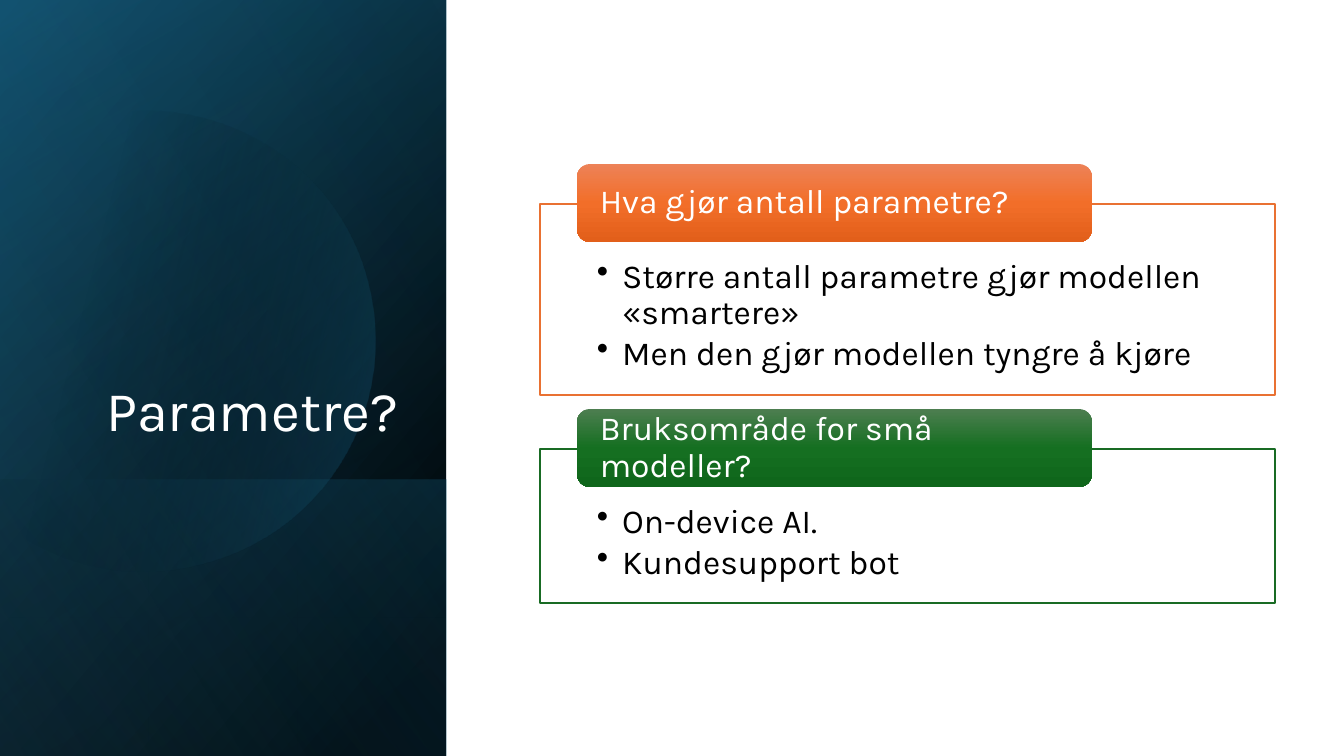
"""Build the slide about model parameters."""
from dataclasses import dataclass

from lxml import etree
from pptx import Presentation
from pptx import util as u
from pptx.dml.color import RGBColor
from pptx.enum import shapes, text
from pptx.oxml import parse_xml
from pptx.oxml.ns import nsdecls, qn

EMU_PER_PX = 12192000 / 1344
FONT = "Karla"
SIDEBAR_WIDTH = 446
Stop = tuple[int, str, int]
Point = tuple[int, int]


@dataclass(frozen=True)
class Gradient:
    stops: tuple[Stop, ...]
    angle: int


@dataclass(frozen=True)
class Panel:
    top: int
    height: int
    gradient: Gradient


@dataclass(frozen=True)
class Topic:
    heading: str
    points: tuple[str, ...]
    top: int
    height: int
    color: str
    shades: tuple[str, str, str]


PANELS = (
    Panel(0, 756, Gradient(((8, "000000", 100), (100, "104862", 100)), 50)),
    Panel(0, 756, Gradient(((0, "000000", 0), (99, "156082", 46)), 30)),
    Panel(480, 276, Gradient(((2, "156082", 29), (100, "000000", 30)), 130)),
)
SHEEN = Panel(0, 756, Gradient(((0, "000000", 0), (99, "46B1E1", 11)), 120))
DISC_GRADIENT = Gradient(((29, "000000", 0), (100, "156082", 43)), 14)
DISC_CURVES: tuple[tuple[Point, Point, Point, Point], ...] = (
    ((0, 162), (23, 143), (50, 129), (81, 120)),
    ((81, 120), (104, 114), (127, 111), (150, 111)),
    ((150, 111), (248, 113), (338, 178), (366, 277)),
    ((366, 277), (401, 400), (331, 527), (209, 562)),
    ((209, 562), (132, 585), (53, 566), (-3, 518)),
)
DISC_LEFT_EDGE: tuple[Point, ...] = ((-15, 507), (-15, 176))
TOPICS = (
    Topic(
        "Hva gjør antall parametre?",
        ("Større antall parametre gjør modellen «smartere»",
         "Men den gjør modellen tyngre å kjøre"),
        204, 191, "E97132", ("ED8257", "F26E29", "E25F1A"),
    ),
    Topic(
        "Bruksområde for små modeller?",
        ("On-device AI.", "Kundesupport bot"),
        449, 154, "196B24", ("4D7E50", "156F21", "0F661B"),
    ),
)


def px(length: float) -> u.Emu:
    """Convert pixels to EMU."""
    return u.Emu(round(length * EMU_PER_PX))


def rgb(color: str) -> RGBColor:
    """Turn a hex string into a colour."""
    return RGBColor.from_string(color)


def fill_gradient(shape, gradient: Gradient) -> None:
    """Give a shape a linear gradient and neither outline nor shadow."""
    shape.shadow.inherit = False
    shape.line.fill.background()
    shape.fill.background()
    stops = "".join(
        f'<a:gs pos="{position * 1000}"><a:srgbClr val="{color}">'
        f'<a:alpha val="{alpha * 1000}"/></a:srgbClr></a:gs>'
        for position, color, alpha in gradient.stops
    )
    properties = shape._element.spPr
    properties.replace(properties.find(qn("a:noFill")), parse_xml(
        f'<a:gradFill {nsdecls("a")} rotWithShape="1"><a:gsLst>{stops}</a:gsLst>'
        f'<a:lin ang="{gradient.angle * 60000}" scaled="0"/></a:gradFill>'
    ))


def add_panel(slide, panel: Panel) -> None:
    """Draw a mirrored, quarter-turned rectangle across the sidebar."""
    overhang = (panel.height - SIDEBAR_WIDTH) / 2
    rectangle = slide.shapes.add_shape(
        shapes.MSO_SHAPE.RECTANGLE, px(-overhang), px(panel.top + overhang),
        px(panel.height), px(SIDEBAR_WIDTH),
    )
    rectangle.rotation = 90
    rectangle._element.spPr.xfrm.set("flipH", "1")
    fill_gradient(rectangle, panel.gradient)


def curve_points(curve: tuple[Point, ...], steps: int = 24) -> list[tuple[int, int]]:
    """Sample a cubic curve in EMU, leaving out its start."""
    sampled = []
    for step in range(1, steps + 1):
        t = step / steps
        weights = ((1 - t) ** 3, 3 * t * (1 - t) ** 2, 3 * t * t * (1 - t), t ** 3)
        x, y = (sum(w * p[axis] for w, p in zip(weights, curve)) for axis in (0, 1))
        sampled.append((px(x), px(y)))
    return sampled


def add_disc(slide) -> None:
    """Draw the large translucent disc cut by the left edge."""
    start_x, start_y = DISC_CURVES[0][0]
    outline = slide.shapes.build_freeform(px(start_x), px(start_y))
    for curve in DISC_CURVES:
        outline.add_line_segments(curve_points(curve), close=False)
    outline.add_line_segments([(px(x), px(y)) for x, y in DISC_LEFT_EDGE], close=True)
    fill_gradient(outline.convert_to_shape(), DISC_GRADIENT)


def set_insets(frame, left: int, top: int, right: int, bottom: int) -> None:
    """Wrap the text and set its margins."""
    frame.word_wrap = True
    frame.margin_left, frame.margin_top = px(left), px(top)
    frame.margin_right, frame.margin_bottom = px(right), px(bottom)


def style(paragraph, size: int, color: str, align=text.PP_ALIGN.LEFT) -> None:
    """Set alignment, line spacing and font of a paragraph."""
    paragraph.alignment = align
    paragraph.line_spacing = 0.9
    paragraph.font.name = FONT
    paragraph.font.size = u.Pt(size)
    paragraph.font.color.rgb = rgb(color)


def add_bullet(paragraph) -> None:
    """Give a paragraph a hanging bullet."""
    paragraph.level = 1
    paragraph.space_after = u.Pt(3.6)
    properties = paragraph._p.get_or_add_pPr()
    properties.set("marL", str(u.Inches(0.25)))
    properties.set("indent", str(-u.Inches(0.25)))
    etree.SubElement(properties, qn("a:buChar")).set("char", "•")


def add_topic(slide, topic: Topic) -> None:
    """Draw a framed bullet list with its heading tab."""
    frame = slide.shapes.add_shape(
        shapes.MSO_SHAPE.RECTANGLE, px(540), px(topic.top), px(735), px(topic.height))
    frame.shadow.inherit = False
    frame.fill.solid()
    frame.fill.fore_color.rgb = rgb("FFFFFF")
    frame.line.color.rgb = rgb(topic.color)
    frame.line.width = u.Pt(1)
    body = frame.text_frame
    set_insets(body, 57, 55, 57, 19)
    body.vertical_anchor = text.MSO_ANCHOR.TOP
    body.text = "\n".join(topic.points)
    for point in body.paragraphs:
        add_bullet(point)
        style(point, 24, "000000")

    tab = slide.shapes.add_shape(
        shapes.MSO_SHAPE.ROUNDED_RECTANGLE, px(577), px(topic.top - 40), px(515), px(78))
    shades = tuple((i * 50, shade, 100) for i, shade in enumerate(topic.shades))
    fill_gradient(tab, Gradient(shades, 90))
    set_insets(tab.text_frame, 19, 0, 19, 0)
    tab.text_frame.vertical_anchor = text.MSO_ANCHOR.MIDDLE
    tab.text_frame.text = topic.heading
    style(tab.text_frame.paragraphs[0], 24, "FFFFFF")


def set_title(slide) -> None:
    """Place and format the title on the sidebar."""
    title = slide.shapes.title
    title.left, title.top, title.width, title.height = px(64), px(185), px(344), px(264)
    title.text_frame.text = "Parametre?"
    title.text_frame.word_wrap = True
    title.text_frame.vertical_anchor = text.MSO_ANCHOR.BOTTOM
    style(title.text_frame.paragraphs[0], 40, "FFFFFF", text.PP_ALIGN.RIGHT)


def main() -> None:
    """Build and save the presentation."""
    deck = Presentation()
    deck.slide_width, deck.slide_height = px(1344), px(756)
    slide = deck.slides.add_slide(deck.slide_layouts[5])
    for panel in PANELS:
        add_panel(slide, panel)
    add_disc(slide)
    add_panel(slide, SHEEN)
    set_title(slide)
    slide.shapes._spTree.append(slide.shapes.title._element)
    for topic in TOPICS:
        add_topic(slide, topic)
    deck.save("out.pptx")


if __name__ == "__main__":
    main()
